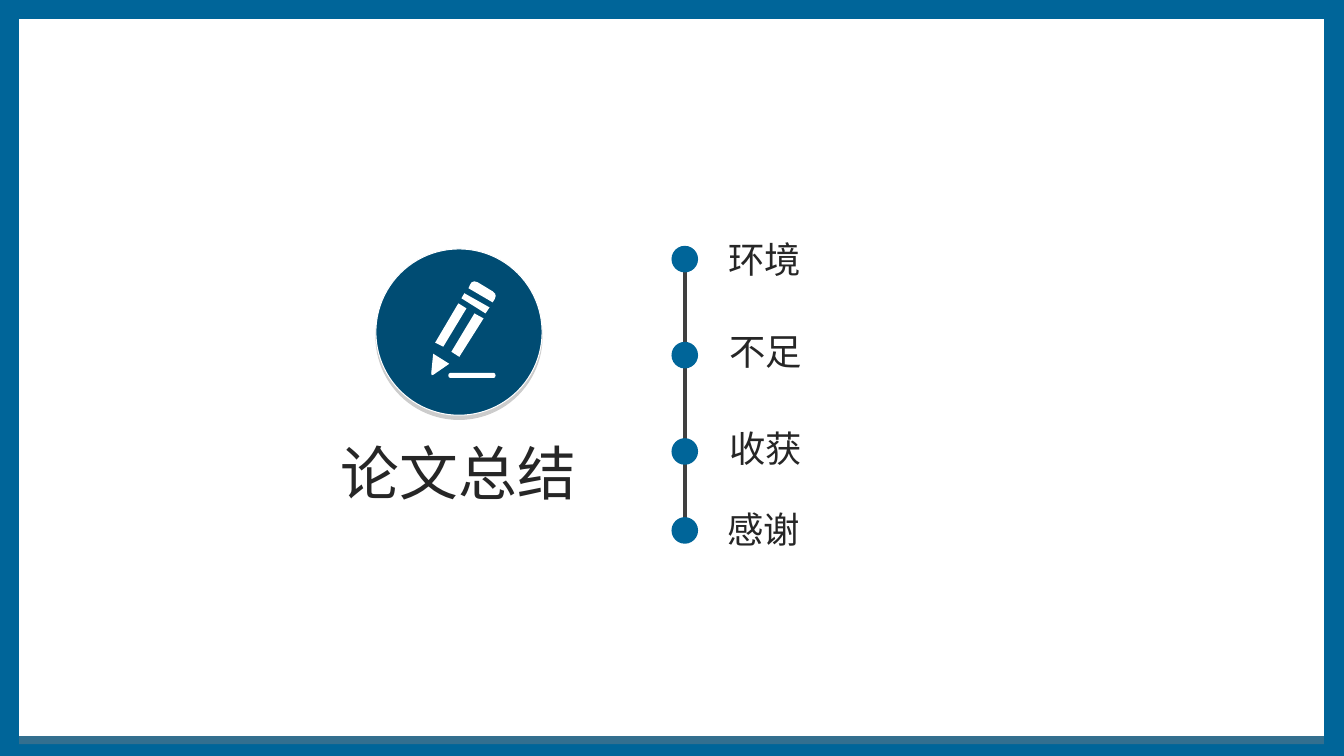
from lxml.etree import SubElement
from pptx import Presentation
from pptx.dml.color import RGBColor
from pptx.enum.shapes import MSO_CONNECTOR, MSO_SHAPE
from pptx.enum.text import MSO_ANCHOR, MSO_AUTO_SIZE, PP_ALIGN
from pptx.oxml.ns import qn
from pptx.util import Pt

FONT = "Noto Sans CJK SC"
BLUE, NAVY, WHITE, INK, GREY = "006599", "004C73", "FFFFFF", "262626", "3F3F3F"

deck = Presentation()
deck.slide_width, deck.slide_height = Pt(960.48), Pt(540)
page = deck.slides.add_slide(deck.slide_layouts[5])
shapes = page.shapes
color = RGBColor.from_string


def add_filled(kind, left, top, width, height, fill, drop=0):
    """Add a borderless shape; drop is the downward shadow offset in points."""
    shape = shapes.add_shape(kind, Pt(left), Pt(top), Pt(width), Pt(height))
    shape.fill.solid()
    shape.fill.fore_color.rgb = color(fill)
    shape.line.fill.background()
    shape.shadow.inherit = False
    if drop:
        effects = shape._element.spPr.find(qn("a:effectLst"))
        shadow = SubElement(effects, qn("a:outerShdw"), blurRad="0", dist=str(Pt(drop)),
                            dir="5400000", algn="t", rotWithShape="0")
        tint = SubElement(shadow, qn("a:srgbClr"), val="808080")
        SubElement(tint, qn("a:alpha"), val="40000")
    return shape


def write_text(box, text, size, align, wrap):
    frame = box.text_frame
    frame.text = text
    frame.word_wrap = wrap
    frame.auto_size = MSO_AUTO_SIZE.SHAPE_TO_FIT_TEXT
    frame.vertical_anchor = MSO_ANCHOR.MIDDLE
    para = frame.paragraphs[0]
    para.alignment = align
    para.font.size = Pt(size)
    para.font.color.rgb = color(INK)
    para.font.name = FONT
    SubElement(para._p.pPr.find(qn("a:defRPr")), qn("a:ea"), typeface=FONT)


# Blue frame around a white panel
page.background.fill.solid()
page.background.fill.fore_color.rgb = color(BLUE)
panel = add_filled(MSO_SHAPE.RECTANGLE, 13.7, 13.7, 932.4, 511.9, WHITE, drop=6)

# Title, in front of the panel
title = shapes.title
title.element.addprevious(panel.element)
title.left, title.top, title.width, title.height = Pt(156.2), Pt(308.2), Pt(342.7), Pt(57.6)
write_text(title, "论文总结", 42, PP_ALIGN.CENTER, True)

# Pencil badge
badge = add_filled(MSO_SHAPE.OVAL, 268.6, 177.8, 118.8, 118.8, NAVY, drop=3)
badge.line.color.rgb = color(WHITE)
badge.line.width = Pt(0.75)

# Pencil outlines, in tenths of a point
eraser = [(3362, 2030), (3372, 2016), (3390, 2010), (3413, 2016), (3521, 2081),
          (3538, 2097), (3543, 2115), (3535, 2138), (3521, 2160), (3348, 2059)]
band = [(3319, 2095), (3298, 2131), (3470, 2239), (3499, 2196)]
tip = [(3082, 2664), (3096, 2527), (3211, 2599), (3096, 2678), (3085, 2680)]
left_barrel = [(3110, 2448), (3276, 2167), (3334, 2203), (3168, 2477)]
right_barrel = [(3226, 2513), (3391, 2239), (3456, 2275), (3283, 2549)]
underline = [(3218, 2664), (3528, 2664), (3538, 2669), (3542, 2682), (3538, 2695),
             (3528, 2700), (3218, 2700), (3208, 2695), (3204, 2682), (3208, 2669)]
builder = shapes.build_freeform(*eraser[0], scale=Pt(1) / 10)
builder.add_line_segments(eraser[1:])
for outline in (band, tip, left_barrel, right_barrel, underline):
    builder.move_to(*outline[0])
    builder.add_line_segments(outline[1:])
pencil = builder.convert_to_shape()
pencil.fill.solid()
pencil.fill.fore_color.rgb = color(WHITE)
pencil.line.fill.background()
pencil.shadow.inherit = False

# Timeline: stem, then a dot and a label for each topic
stem = shapes.add_connector(MSO_CONNECTOR.STRAIGHT, Pt(489.4), Pt(177.1), Pt(489.4), Pt(370.1))
stem.line.color.rgb = color(GREY)
stem.line.width = Pt(3)
SubElement(stem._element.spPr, qn("a:effectLst"))

topics = [("环境", 175.6, 513.2, 165.6), ("不足", 244.2, 514.2, 231.3),
          ("收获", 313, 514.2, 300.2), ("感谢", 369.4, 512.8, 358.7)]
for topic, dot_top, label_left, label_top in topics:
    add_filled(MSO_SHAPE.OVAL, 479.9, dot_top, 19, 19, BLUE)
    label = shapes.add_textbox(Pt(label_left), Pt(label_top), Pt(66.4), Pt(38.9))
    write_text(label, topic, 26, PP_ALIGN.LEFT, False)

deck.save("out.pptx")
